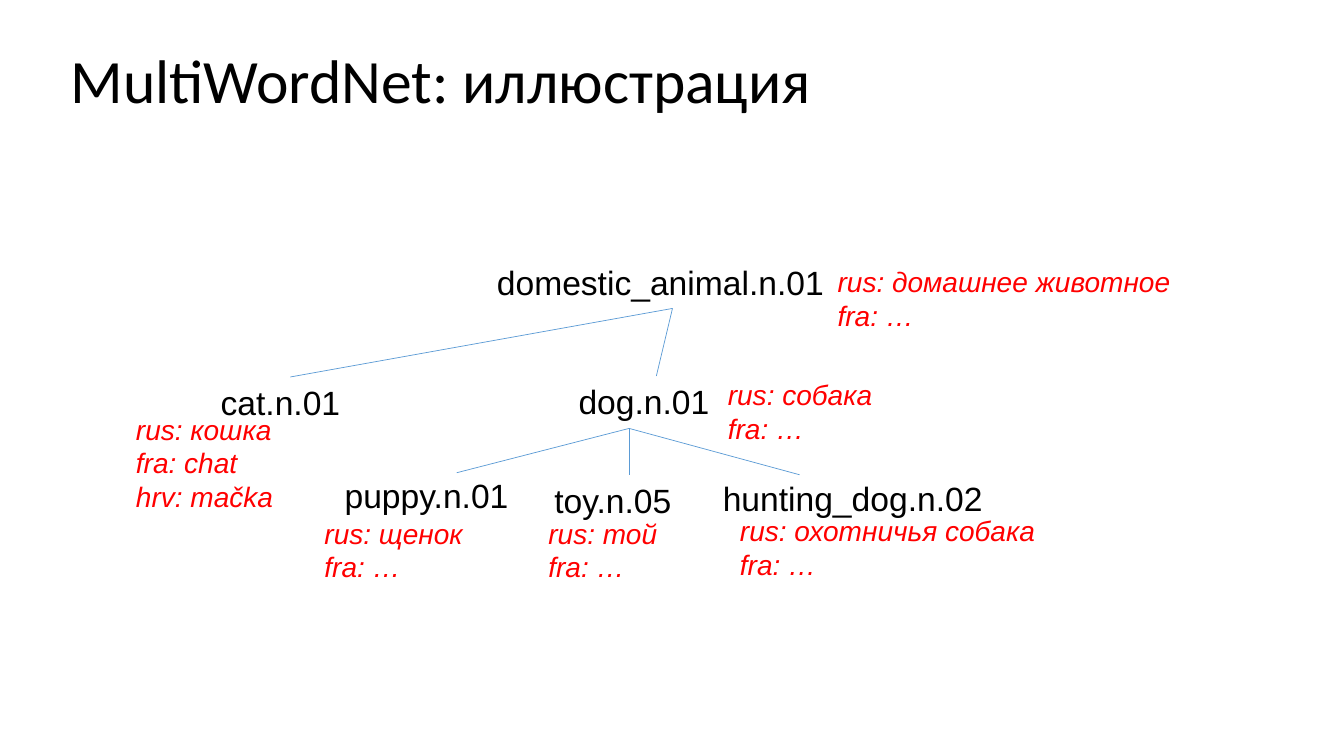
"""Builds a slide showing a MultiWordNet synset tree with translations."""
from lxml import etree
from pptx import Presentation
from pptx.dml.color import RGBColor
from pptx.enum.shapes import MSO_CONNECTOR
from pptx.enum.text import MSO_ANCHOR
from pptx.oxml.ns import qn
from pptx.util import Inches, Pt

STRAIGHT = MSO_CONNECTOR.STRAIGHT
MIDDLE = MSO_ANCHOR.MIDDLE

COLORS = {"text": "000000", "translation": "FF0000", "branch": "5B9BD5"}
TITLE = "MultiWordNet: иллюстрация"
SYNSET_HEIGHT = 0.5
LINE_HEIGHT = 0.335
BOX_PADDING = 0.1

SYNSETS = [
    ("domestic_animal.n.01", (4.83, 2.55, 3.68),
     ["rus: домашнее животное", "fra: …"], (8.21, 2.58, 3.76)),
    ("cat.n.01", (2.09, 3.74, 1.59),
     ["rus: кошка", "fra: chat", "hrv: mačka"], (1.25, 4.04, 2.05)),
    ("dog.n.01", (5.64, 3.73, 3.37),
     ["rus: собака", "fra: …"], (7.12, 3.7, 1.71)),
    ("puppy.n.01", (3.32, 4.66, 3.1),
     ["rus: щенок", "fra: …"], (3.12, 5.07, 1.83)),
    ("toy.n.05", (5.4, 4.71, 3.1),
     ["rus: той", "fra: …"], (5.34, 5.07, 1.69)),
    ("hunting_dog.n.02", (7.07, 4.69, 3.02),
     ["rus: охотничья собака", "fra: …"], (7.24, 5.05, 3.48)),
]
BRANCHES = [
    ((6.67, 3.06), [(2.88, 3.74), (6.51, 3.73)]),
    ((6.24, 4.25), [(4.53, 4.69), (6.24, 4.71), (7.93, 4.71)]),
]


def add_text(slide, lines, box, size, font="Arial", color="text", italic=False):
    shape = slide.shapes.add_textbox(*map(Inches, box))
    frame = shape.text_frame
    frame.word_wrap = True
    frame.text = "\n".join(lines)
    for paragraph in frame.paragraphs:
        paragraph.font.name = font
        paragraph.font.size = Pt(size)
        paragraph.font.italic = italic
        paragraph.font.color.rgb = RGBColor.from_string(COLORS[color])
    return frame


def add_branch(slide, start, end):
    connector = slide.shapes.add_connector(STRAIGHT, *map(Inches, start + end))
    connector.line.color.rgb = RGBColor.from_string(COLORS["branch"])
    connector.line.width = Pt(0.5)
    etree.SubElement(connector.element.spPr, qn("a:effectLst"))


def main():
    presentation = Presentation()
    presentation.slide_width = Inches(13.33)
    presentation.slide_height = Inches(7.5)
    slide = presentation.slides.add_slide(presentation.slide_layouts[6])

    title = add_text(slide, [TITLE], (0.6, 0.2, 11.37, 1.26), 44, "Calibri")
    title.vertical_anchor = MIDDLE
    title.paragraphs[0].line_spacing = 0.9

    for synset, synset_box, translations, translation_box in SYNSETS:
        add_text(slide, [synset], synset_box + (SYNSET_HEIGHT,), 24)
        height = len(translations) * LINE_HEIGHT + BOX_PADDING
        add_text(slide, translations, translation_box + (height,), 20,
                 color="translation", italic=True)

    for parent, children in BRANCHES:
        for child in children:
            add_branch(slide, parent, child)

    presentation.save("out.pptx")


if __name__ == "__main__":
    main()
